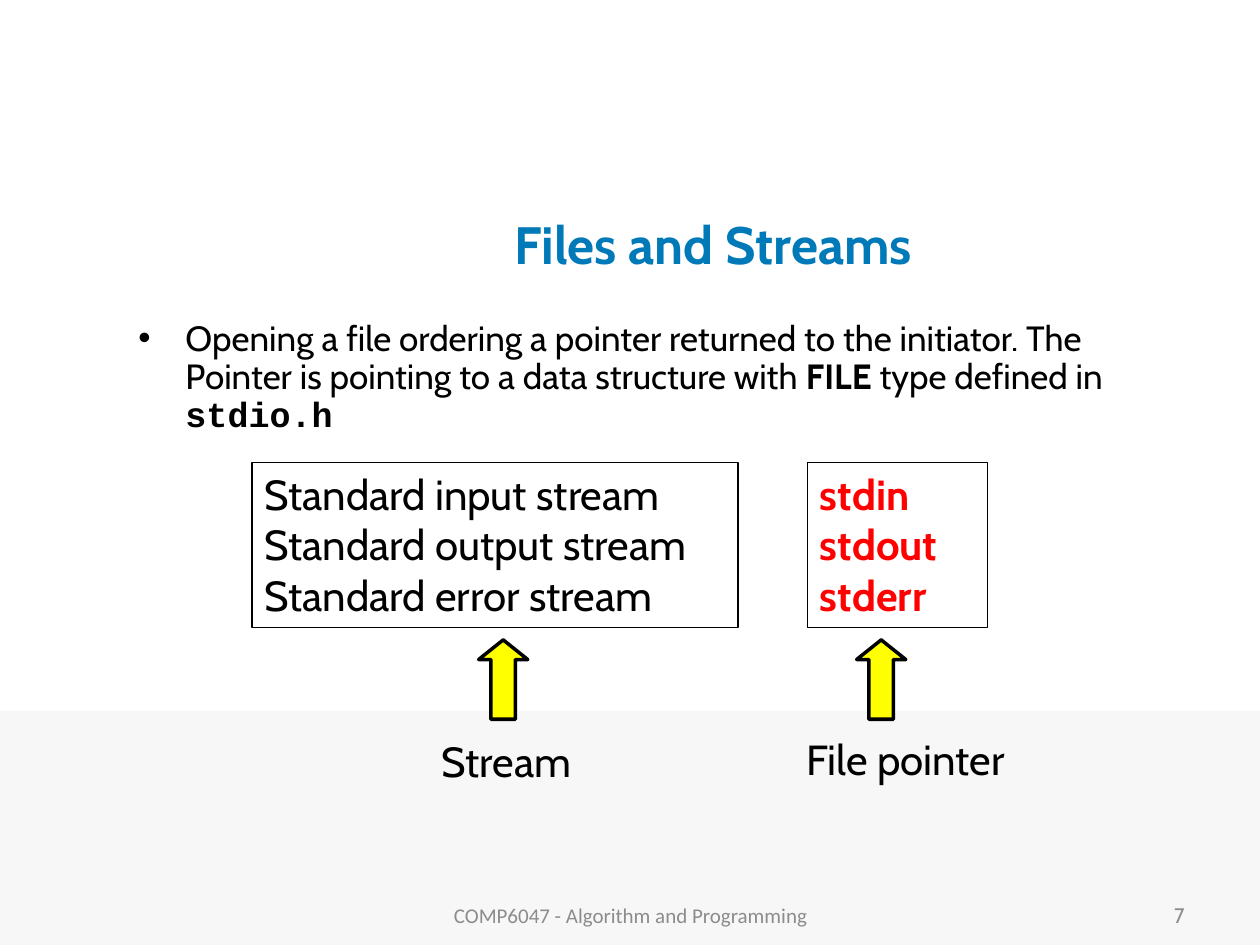
import dataclasses
import typing

import pptx
import pptx.dml.color
import pptx.enum.shapes
import pptx.enum.text
import pptx.oxml
import pptx.oxml.ns
import pptx.util

"""Build the Files and Streams slide."""

Cm = pptx.util.Cm
Pt = pptx.util.Pt
Align = pptx.enum.text.PP_ALIGN
Anchor = pptx.enum.text.MSO_ANCHOR
Preset = pptx.enum.shapes.MSO_SHAPE

COLOURS = {
    "band": "F7F7F7",
    "title": "0079B8",
    "footer": "8C8C8C",
    "text": "000000",
    "pointer": "FF0000",
    "arrow": "FFFF00",
}


class Area(typing.NamedTuple):
    left: float
    top: float
    width: float
    height: float


@dataclasses.dataclass
class Span:
    text: str
    size: float = 24
    colour: str = "text"
    bold: bool = False
    font: str = "Cabin"


@dataclasses.dataclass
class TextBlock:
    area: Area
    paras: list[list[Span]]
    align: Align = Align.LEFT
    anchor: Anchor = Anchor.TOP
    wrap: bool = True
    outlined: bool = False


@dataclasses.dataclass
class Figure:
    preset: Preset
    area: Area
    fill: str
    line_width: float = 0
    adjustments: tuple[float, ...] = ()


def rgb(name: str) -> pptx.dml.color.RGBColor:
    return pptx.dml.color.RGBColor.from_string(COLOURS[name])


def draw_text(page, block: TextBlock):
    box = page.shapes.add_textbox(*map(Cm, block.area))
    if block.outlined:
        box.line.color.rgb = rgb("text")
        box.line.width = Pt(0.75)
    frame = box.text_frame
    frame.word_wrap = block.wrap
    frame.vertical_anchor = block.anchor
    for index, spans in enumerate(block.paras):
        para = frame.add_paragraph() if index else frame.paragraphs[0]
        para.alignment = block.align
        for span in spans:
            run = para.add_run()
            run.text = span.text
            run.font.name = span.font
            run.font.size = Pt(span.size)
            run.font.bold = span.bold
            run.font.color.rgb = rgb(span.colour)
    return box


def draw_figure(page, figure: Figure) -> None:
    shape = page.shapes.add_shape(figure.preset, *map(Cm, figure.area))
    shape.shadow.inherit = False
    shape.fill.solid()
    shape.fill.fore_color.rgb = rgb(figure.fill)
    if figure.line_width:
        shape.line.color.rgb = rgb("text")
        shape.line.width = Pt(figure.line_width)
    else:
        shape.line.fill.background()
    for index, value in enumerate(figure.adjustments):
        shape.adjustments[index] = value


def set_bullet(para, indent: float) -> None:
    para.line_spacing = 0.9
    para.space_before = Pt(12)
    properties = para._p.get_or_add_pPr()
    properties.set("marL", str(Cm(indent)))
    properties.set("indent", str(-Cm(indent)))
    namespace = pptx.oxml.ns.nsdecls("a")
    for element in ('buFont {} typeface="Arial"', 'buChar {} char="\u2022"'):
        properties.append(pptx.oxml.parse_xml(f"<a:{element.format(namespace)}/>"))


def main() -> None:
    deck = pptx.Presentation()
    deck.slide_width, deck.slide_height = Cm(25.4), Cm(19.05)
    page = deck.slides.add_slide(deck.slide_layouts[6])

    draw_figure(page, Figure(Preset.RECTANGLE, Area(0, 14.33, 25.4, 4.72), "band"))

    body = draw_text(page, TextBlock(Area(2.54, 6.35, 21.79, 10.34), [[
        Span("Opening a file ordering a pointer returned to the initiator. "
             "The Pointer is pointing to a data structure with ", 20),
        Span("FILE", 20, bold=True),
        Span(" type defined in ", 20),
        Span("stdio.h", 20, bold=True, font="Courier New"),
    ]]))
    set_bullet(body.text_frame.paragraphs[0], 0.95)

    streams = [[Span(f"Standard {kind} stream")] for kind in ("input", "output", "error")]
    pointers = [[Span(name, colour="pointer", bold=True)]
                for name in ("stdin", "stdout", "stderr")]
    blocks = [
        TextBlock(Area(4.88, 3.81, 19, 2.21),
                  [[Span("Files and Streams", 30, "title", True)]],
                  Align.CENTER, Anchor.MIDDLE),
        TextBlock(Area(5.08, 9.32, 9.8, 3.33), streams, outlined=True),
        TextBlock(Area(16.28, 9.32, 3.63, 3.33), pointers, outlined=True),
        TextBlock(Area(8.66, 14.71, 3.18, 1.3), [[Span("Stream")]], wrap=False),
        TextBlock(Area(16, 14.66, 4.7, 1.27), [[Span("File pointer")]], wrap=False),
        TextBlock(Area(8.69, 17.93, 8.05, 1.02),
                  [[Span("COMP6047 - Algorithm and Programming", 12, "footer",
                         font="Calibri")]],
                  Align.CENTER, Anchor.MIDDLE),
        TextBlock(Area(18.21, 17.93, 5.92, 1.02), [[Span("7", 12, "footer")]],
                  Align.RIGHT, Anchor.MIDDLE),
    ]
    for block in blocks:
        draw_text(page, block)

    for left in (9.65, 17.27):
        draw_figure(page, Figure(Preset.UP_ARROW, Area(left, 12.9, 0.99, 1.6),
                                 "arrow", 2, (0.5, 0.4)))

    deck.save("out.pptx")


main()
